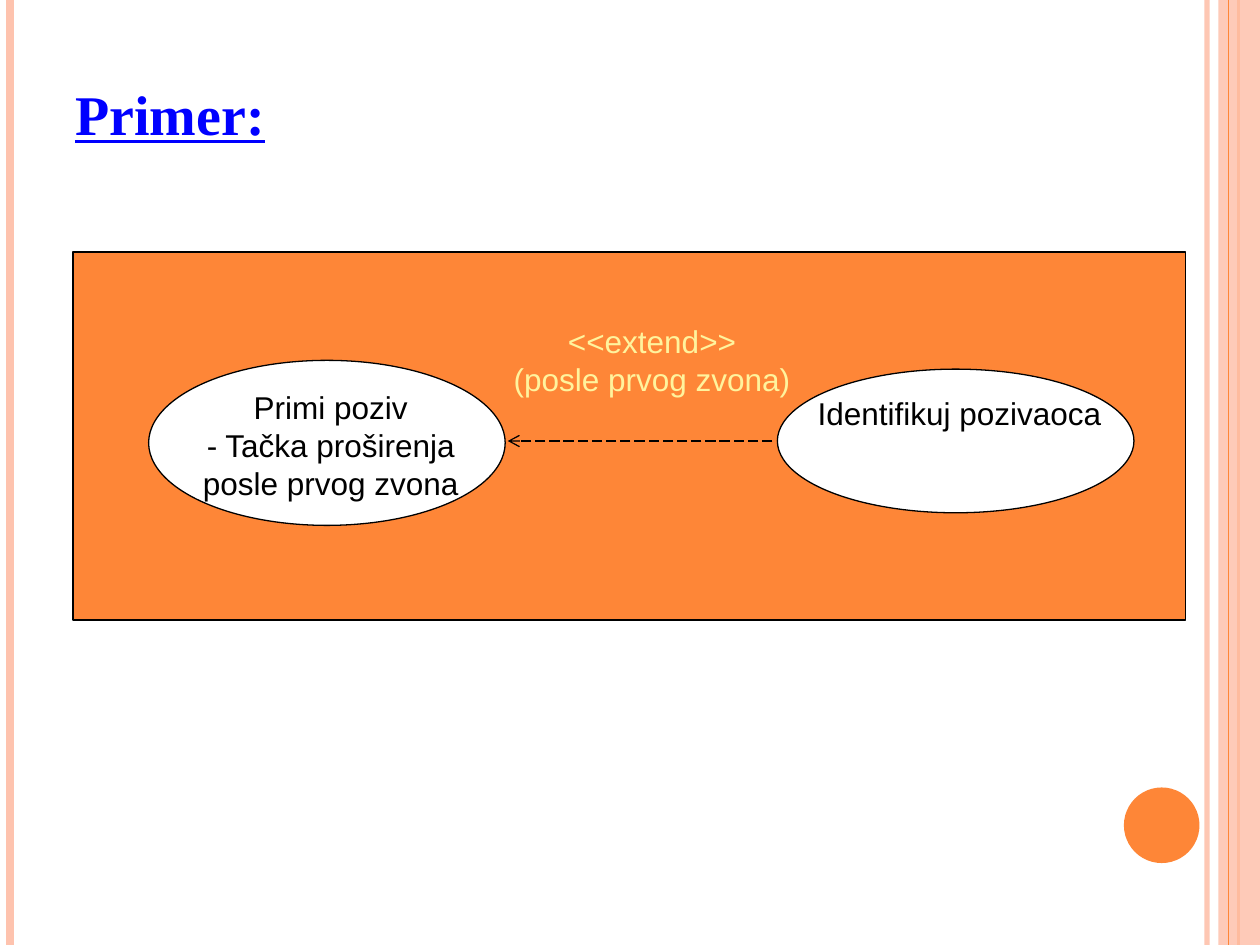
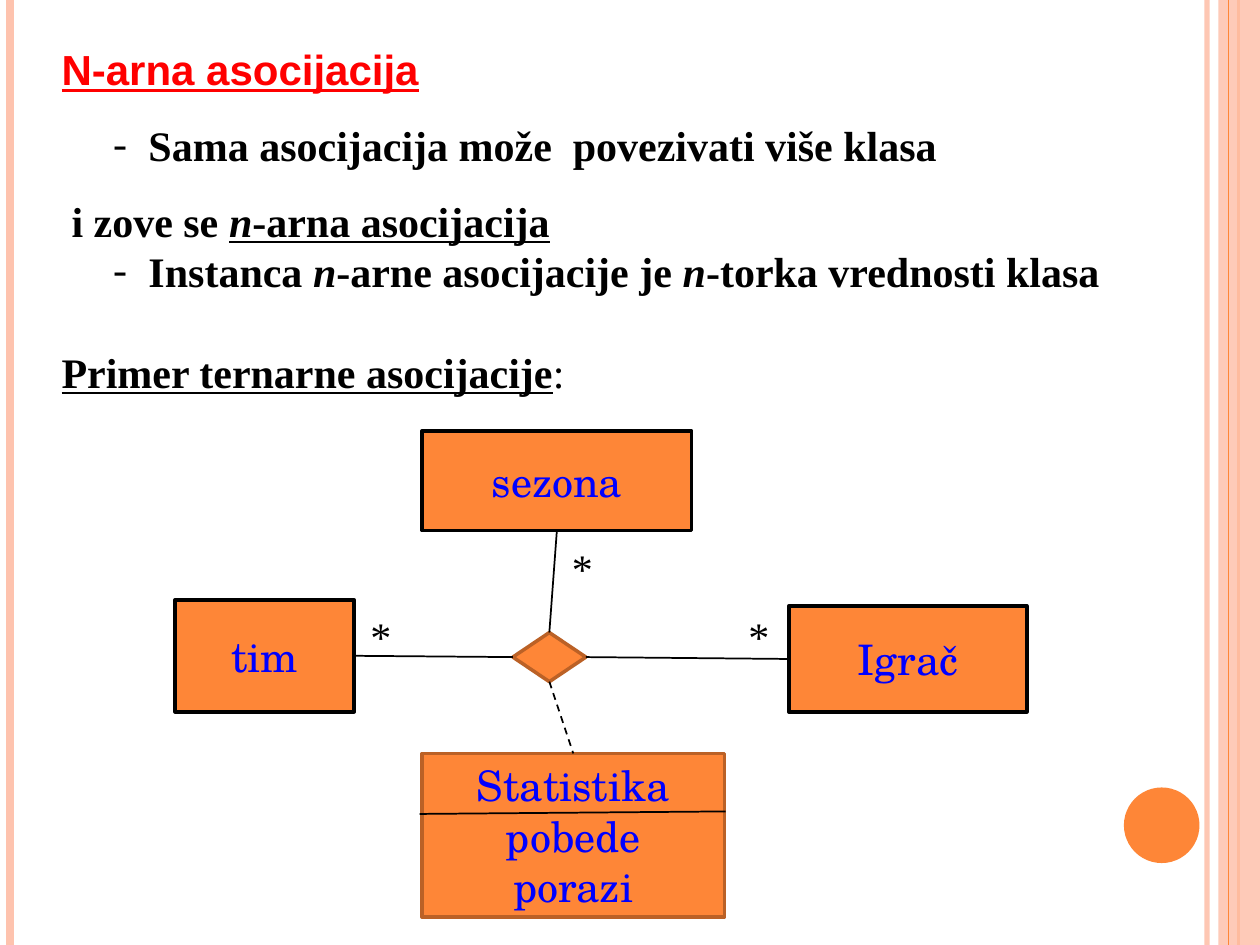
from dataclasses import dataclass

from lxml.etree import SubElement
from pptx import Presentation
from pptx.dml.color import RGBColor
from pptx.enum.dml import MSO_LINE
from pptx.enum.shapes import MSO_CONNECTOR, MSO_SHAPE
from pptx.enum.text import MSO_ANCHOR, PP_ALIGN
from pptx.oxml.ns import qn
from pptx.util import Inches, Pt

WIDTH, HEIGHT = Inches(10), Inches(7.5)
COLUMN, ROW = WIDTH / 100, HEIGHT / 75

ORANGE = RGBColor(0xFE, 0x86, 0x37)
PEACH = RGBColor(0xFE, 0xC3, 0xAE)
BROWN = RGBColor(0xBB, 0x61, 0x26)
CREAM = RGBColor(0xFF, 0xF3, 0x9D)
BLUE = RGBColor(0x00, 0x00, 0xFF)
RED = RGBColor(0xFF, 0x00, 0x00)
BLACK = RGBColor(0x00, 0x00, 0x00)
WHITE = RGBColor(0xFF, 0xFF, 0xFF)

SANS, SERIF, SCHOOL = "Arial", "Times New Roman", "TeX Gyre Schola"
TOP, LEFT, BOTTOM, RIGHT = range(4)  # connection sites


@dataclass
class Box:
    """An area measured in grid columns and rows."""
    x: float
    y: float
    w: float
    h: float

    def inner(self, x, y, w, h):
        return Box(self.x + x, self.y + y, w, h)

    def point(self, x, y):
        return round((self.x + x) * COLUMN), round((self.y + y) * ROW)

    def emu(self):
        return *self.point(0, 0), round(self.w * COLUMN), round(self.h * ROW)


PAGE = Box(0, 0, 100, 75)


def set_alpha(shape, percent):
    for color in shape.element.spPr.iter(qn("a:srgbClr")):
        SubElement(color, qn("a:alpha"), val=str(percent * 1000))


def add_figure(page, kind, box, fill=ORANGE, line=None, weight=0.75):
    shape = page.shapes.add_shape(kind, *box.emu())
    shape.shadow.inherit = False
    shape.fill.solid()
    shape.fill.fore_color.rgb = fill
    if line is None:
        shape.line.fill.background()
    else:
        shape.line.color.rgb = line
        shape.line.width = Pt(weight)
    return shape


def add_line(page, start=(0, 0), end=(0, 0), color=BLACK, weight=1, dash=None):
    line = page.shapes.add_connector(MSO_CONNECTOR.STRAIGHT, *start, *end)
    line.line.color.rgb = color
    line.line.width = Pt(weight)
    if dash is not None:
        line.line.dash_style = dash
    SubElement(line.element.spPr, qn("a:effectLst"))
    return line


def add_span(para, text, font, size, color, bold=False, italic=False,
             underline=False):
    span = para.add_run()
    span.text = text
    style = span.font
    style.name, style.size, style.color.rgb = font, Pt(size), color
    style.bold, style.italic, style.underline = bold, italic, underline


def next_para(frame):
    """Return the empty first paragraph, or a new one after it."""
    first = frame.paragraphs[0]
    return frame.add_paragraph() if first.runs else first


def add_text_box(page, box):
    frame = page.shapes.add_textbox(*box.emu()).text_frame
    frame.word_wrap = True
    return frame


def write_lines(frame, lines, font, size, color, align=PP_ALIGN.CENTER, **look):
    for text in lines:
        para = next_para(frame)
        para.alignment = align
        add_span(para, text, font, size, color, **look)


def set_indent(para, left, hanging=0):
    props = para._p.get_or_add_pPr()
    props.set("marL", str(Inches(left)))
    props.set("indent", str(-Inches(hanging)))
    return props


def set_dash_bullet(para):
    props = set_indent(para, 0.69, 0.28)
    SubElement(props, qn("a:buFont"), typeface=SERIF)
    SubElement(props, qn("a:buChar"), char="-")


def add_frame(page):
    """Draw the side bands and the disc that every slide carries."""
    def rule(x, color, weight):
        return add_line(page, PAGE.point(x, 0), PAGE.point(x, PAGE.h), color, weight)

    set_alpha(rule(95.8, PEACH, 3), 93)
    rule(0.83, PEACH, 4.5)
    rule(98.3, ORANGE, 1.5)
    band = add_figure(page, MSO_SHAPE.RECTANGLE, PAGE.inner(96.7, 0, 3.3, 75), PEACH)
    set_alpha(band, 87)
    rule(97.5, ORANGE, 0.75)
    add_figure(page, MSO_SHAPE.OVAL, PAGE.inner(89.2, 62.5, 6, 6))


def add_page(deck):
    page = deck.slides.add_slide(deck.slide_layouts[6])
    for holder in list(page.placeholders):
        holder.element.getparent().remove(holder.element)
    add_frame(page)
    return page


def add_extend_diagram(page, panel):
    add_figure(page, MSO_SHAPE.RECTANGLE, panel, line=BLACK)
    arrow = add_line(page, panel.point(55.5, 15), panel.point(34.5, 15),
                     weight=0.75, dash=MSO_LINE.LONG_DASH)
    SubElement(arrow.element.spPr.find(qn("a:ln")), qn("a:tailEnd"), type="arrow")
    for use_case in (panel.inner(6, 8.6, 28.3, 13.1),
                     panel.inner(55.9, 9.3, 28.3, 11.4)):
        add_figure(page, MSO_SHAPE.OVAL, use_case, WHITE, BLACK)
    labels = (
        (panel.inner(7, 10.3, 26.9, 13), BLACK,
         ("Primi poziv", "- Tačka proširenja", "posle prvog zvona")),
        (panel.inner(58.1, 10.8, 24.5, 10.5), BLACK, ("Identifikuj pozivaoca",)),
        (panel.inner(33.7, 5.1, 24.5, 10.5), CREAM,
         ("<<extend>>", "(posle prvog zvona)")),
    )
    for box, color, lines in labels:
        write_lines(add_text_box(page, box), lines, SANS, 18, color)


def add_nary_text(page, box):
    frame = add_text_box(page, box)

    def write(*spans):
        para = next_para(frame)
        for text, look in spans:
            add_span(para, text, SERIF, 24, BLACK, **look)
        return para

    bold = {"bold": True}
    slanted = {"bold": True, "italic": True}
    lined = {"bold": True, "underline": True}

    write_lines(frame, ["N-arna asocijacija"], SANS, 24, RED, PP_ALIGN.LEFT, **lined)
    opening = write(("Sama asocijacija može  povezivati više klasa", bold))
    set_dash_bullet(opening)
    naming = write(("i zove se ", bold), ("n", slanted | lined),
                   ("-arna asocijacija", lined))
    set_indent(naming, 0.08)
    opening.line_spacing = naming.line_spacing = 1.5
    set_dash_bullet(write(("Instanca ", bold), ("n", slanted),
                          ("-arne asocijacije je ", bold), ("n", slanted),
                          ("-torka vrednosti klasa", bold)))
    example = write(("Primer ternarne asocijacije", lined), (":", {}))
    example.space_before = Pt(28.8)


def add_class(page, box, lines, line=BLACK):
    shape = add_figure(page, MSO_SHAPE.RECTANGLE, box, line=line, weight=2)
    shape.text_frame.word_wrap = True
    shape.text_frame.vertical_anchor = MSO_ANCHOR.MIDDLE
    write_lines(shape.text_frame, lines, SCHOOL, 24, BLUE)
    return shape


def add_ternary_diagram(page, area):
    diamond = add_figure(page, MSO_SHAPE.DIAMOND, area.inner(26.8, 16, 5.8, 3.9),
                         line=BROWN, weight=2)
    team = add_class(page, area.inner(0, 13.4, 14.2, 8.9), ["tim"])
    season = add_class(page, area.inner(19.6, 0, 21.4, 7.9), ["sezona"])
    player = add_class(page, area.inner(48.7, 13.9, 18.9, 8.4), ["Igrač"])
    statistics = add_class(page, area.inner(19.6, 25.6, 24, 13),
                           ["Statistika", "pobede", "porazi"], BROWN)
    add_line(page, area.point(19.4, 30.4), area.point(43.7, 30.2))
    links = ((TOP, season, BOTTOM, None), (RIGHT, player, LEFT, None),
             (LEFT, team, RIGHT, None), (BOTTOM, statistics, TOP, MSO_LINE.DASH))
    for corner, target, side, dash in links:
        link = add_line(page, dash=dash)
        link.begin_connect(diamond, corner)
        link.end_connect(target, side)
    for x, y in ((30.5, 8.4), (44.5, 13.8), (14.5, 13.8)):
        star = add_text_box(page, area.inner(x, y, 3.8, 5))
        write_lines(star, ["*"], SERIF, 24, BLACK, PP_ALIGN.LEFT)


def build_extend_page(deck):
    page = add_page(deck)
    add_extend_diagram(page, PAGE.inner(5.8, 20, 88.3, 29.2))
    title = add_text_box(page, PAGE.inner(5, 5.8, 20, 6.4))
    write_lines(title, ["Primer:"], SERIF, 32, BLUE, PP_ALIGN.LEFT,
                bold=True, underline=True)


def build_nary_page(deck):
    page = add_page(deck)
    add_nary_text(page, PAGE.inner(3.9, 3, 88, 29))
    add_ternary_diagram(page, PAGE.inner(13.9, 34.2, 67.6, 38.6))


def main():
    deck = Presentation()
    deck.slide_width, deck.slide_height = WIDTH, HEIGHT
    build_extend_page(deck)
    build_nary_page(deck)
    deck.save("out.pptx")


if __name__ == "__main__":
    main()
